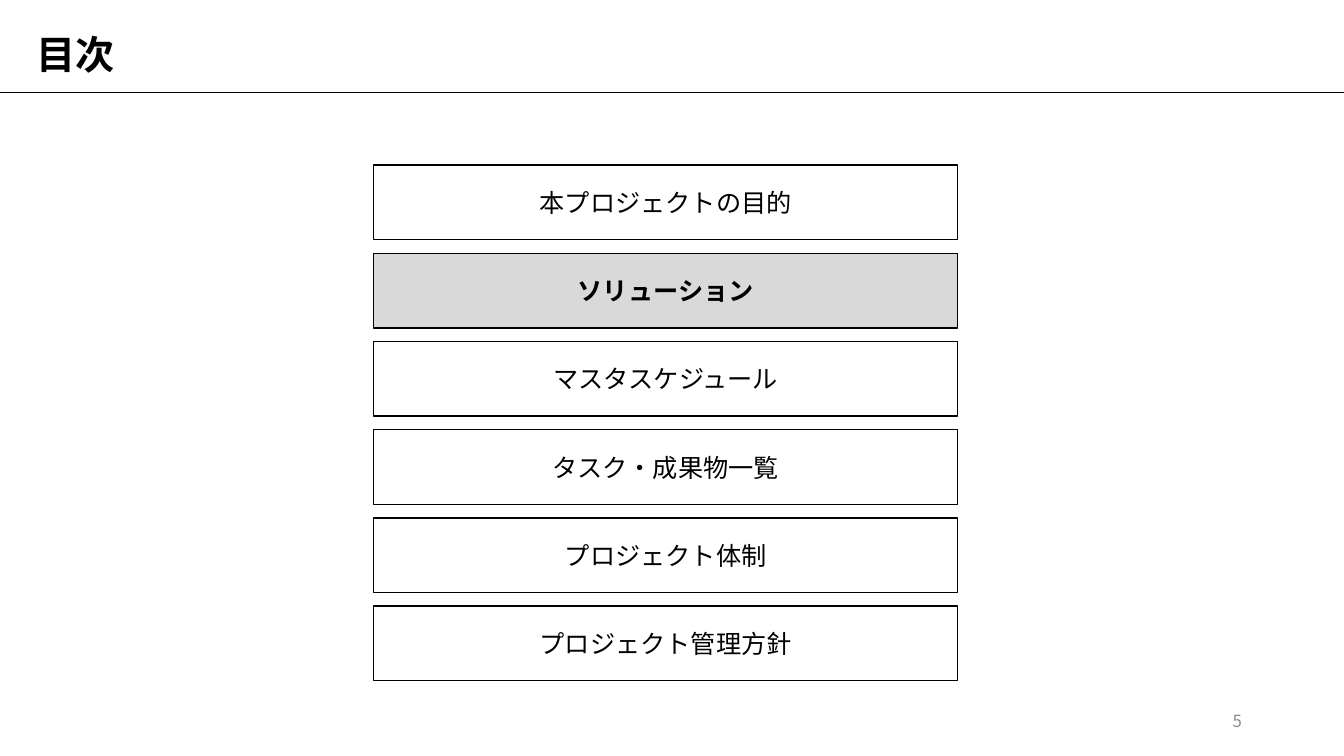
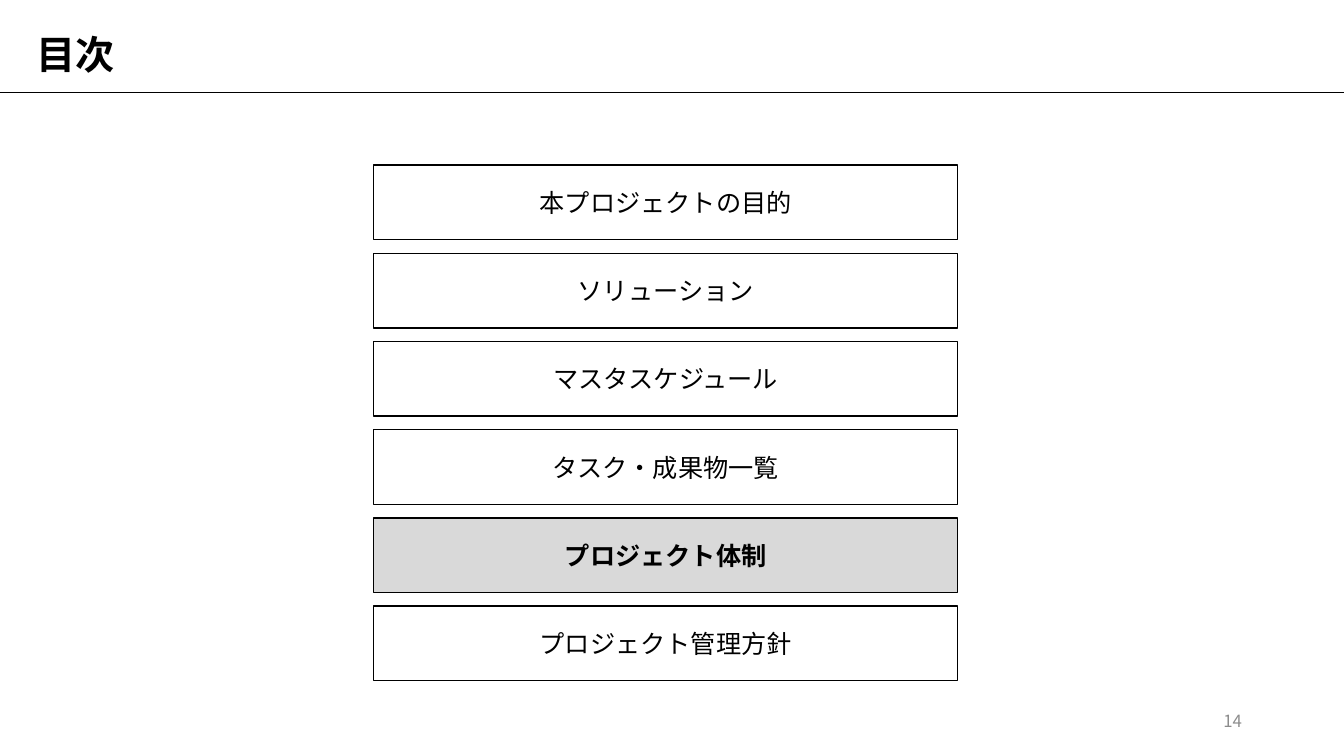
from lxml.etree import SubElement
from pptx import Presentation
from pptx.dml.color import RGBColor
from pptx.enum.shapes import MSO_CONNECTOR, MSO_SHAPE
from pptx.enum.text import MSO_ANCHOR, PP_ALIGN
from pptx.oxml.ns import qn
from pptx.util import Pt

WIDTH, HEIGHT = 960, 540
FONT = "Noto Sans CJK JP"
COLORS = {"ink": "000000", "paper": "FFFFFF", "highlight": "D9D9D9", "number": "8C8C8C"}
CHAPTERS = [
    "本プロジェクトの目的",
    "ソリューション",
    "マスタスケジュール",
    "タスク・成果物一覧",
    "プロジェクト体制",
    "プロジェクト管理方針",
]
AGENDA_PAGES = [(5, "ソリューション"), (14, "プロジェクト体制")]


class AgendaDeck:
    """Holds the shared style and the slide being built."""

    def __init__(self):
        self.presentation = Presentation()
        self.presentation.slide_width = Pt(WIDTH)
        self.presentation.slide_height = Pt(HEIGHT)
        self.slide = None

    def color(self, name):
        return RGBColor.from_string(COLORS[name])

    def set_text(self, shape, text, size, color="ink", bold=False, align=PP_ALIGN.LEFT):
        frame = shape.text_frame
        frame.word_wrap = True
        frame.vertical_anchor = MSO_ANCHOR.MIDDLE
        paragraph = frame.paragraphs[0]
        paragraph.text = text
        paragraph.alignment = align
        font = paragraph.font
        font.size = Pt(size)
        font.bold = bold
        font.color.rgb = self.color(color)
        font.name = FONT
        properties = paragraph._p.pPr.find(qn("a:defRPr"))
        SubElement(properties, qn("a:ea")).set("typeface", FONT)
        return paragraph

    def text_box(self, box, text, size, **style):
        shape = self.slide.shapes.add_textbox(*map(Pt, box))
        return self.set_text(shape, text, size, **style)

    def rule(self, y):
        line = self.slide.shapes.add_connector(
            MSO_CONNECTOR.STRAIGHT, Pt(0), Pt(y), Pt(WIDTH), Pt(y))
        line.line.color.rgb = self.color("ink")
        line.line.width = Pt(0.5)
        SubElement(line._element.spPr, qn("a:effectLst"))

    def new_slide(self, title, number):
        self.slide = self.presentation.slides.add_slide(self.presentation.slide_layouts[6])
        self.rule(66.24)
        heading = self.text_box((18.72, 15.12, 913.68, 50.4), title, 28, bold=True)
        heading.line_spacing = 0.9
        self.text_box((678.24, 500.4, 216, 28.8), str(number), 12,
                      color="number", align=PP_ALIGN.RIGHT)

    def chapter_box(self, box, text, current):
        shape = self.slide.shapes.add_shape(MSO_SHAPE.RECTANGLE, *map(Pt, box))
        shape.shadow.inherit = False
        shape.fill.solid()
        shape.fill.fore_color.rgb = self.color("highlight" if current else "paper")
        shape.line.color.rgb = self.color("ink")
        shape.line.width = Pt(1)
        self.set_text(shape, text, 18, bold=current, align=PP_ALIGN.CENTER)

    def chapter_list(self, chapters, current):
        left, top, width, height, pitch = 267, 118, 417, 53.3, 63
        for index, chapter in enumerate(chapters):
            box = (left, top + index * pitch, width, height)
            self.chapter_box(box, chapter, chapter == current)


def main():
    deck = AgendaDeck()
    for number, current in AGENDA_PAGES:
        deck.new_slide("目次", number)
        deck.chapter_list(CHAPTERS, current)
    deck.presentation.save("out.pptx")


if __name__ == "__main__":
    main()
